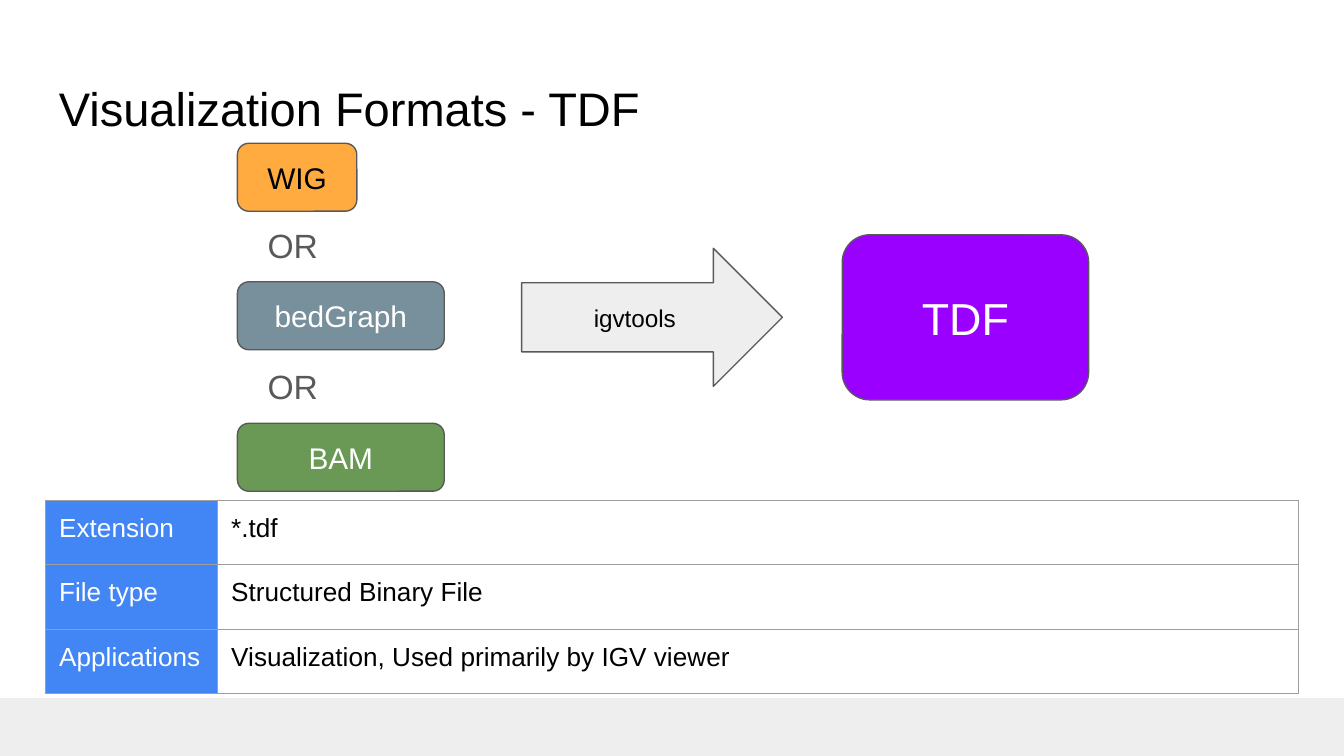
"""Build the slide on the TDF visualization format."""
import pptx
import pptx.util
import pptx.dml.color
import pptx.enum.shapes
import pptx.enum.text
import pptx.oxml
import pptx.oxml.ns

Pt = pptx.util.Pt
Kind = pptx.enum.shapes.MSO_SHAPE
Align = pptx.enum.text.PP_ALIGN
Anchor = pptx.enum.text.MSO_ANCHOR
INK = {
    "black": "000000", "white": "FFFFFF", "gray": "595959", "pale": "EEEEEE",
    "rule": "9E9E9E", "blue": "4285F4", "violet": "9900FF",
    "orange": "FFAB40", "slate": "78909C", "green": "6A9955",
}
PAD = Pt(7.2)


def tint(name):
    return pptx.dml.color.RGBColor.from_string(INK[name])


def write(frame, text, size, ink, align=Align.LEFT):
    frame.margin_left = frame.margin_right = PAD
    frame.margin_top = frame.margin_bottom = PAD
    frame.word_wrap = True
    para = frame.paragraphs[0]
    para.alignment = align
    run = para.add_run()
    run.text = text
    run.font.name = "Arial"
    run.font.size = Pt(size)
    run.font.color.rgb = tint(ink)


deck = pptx.Presentation()
deck.slide_width, deck.slide_height = Pt(720), Pt(405)
slide = deck.slides.add_slide(deck.slide_layouts[6])
shapes = slide.shapes

band = shapes.add_shape(Kind.RECTANGLE, Pt(0), Pt(374), Pt(720), Pt(31))
band.shadow.inherit = False
band.fill.solid()
band.fill.fore_color.rgb = tint("pale")
band.line.fill.background()

labels = [
    ("Visualization Formats - TDF", 24.5, 35.4, 671, 45, 25.2, "black"),
    ("OR", 136.3, 113.2, 46, 36, 18, "gray"),
    ("OR", 136.3, 188.8, 46, 36, 18, "gray"),
]
for text, left, top, width, height, size, ink in labels:
    box = shapes.add_textbox(Pt(left), Pt(top), Pt(width), Pt(height))
    write(box.text_frame, text, size, ink)

rows = [
    ("Extension", "*.tdf"),
    ("File type", "Structured Binary File"),
    ("Applications", "Visualization, Used primarily by IGV viewer"),
]
frame = shapes.add_table(len(rows), 2, Pt(24.5), Pt(268), Pt(671), Pt(103.8))
table = frame.table
table.first_row = table.horz_banding = False
for col, width in zip(table.columns, (92.2, 578.8)):
    col.width = Pt(width)
for r, row in enumerate(rows):
    table.rows[r].height = Pt(34.6)
    for c, text in enumerate(row):
        cell = table.cell(r, c)
        cell.margin_left = cell.margin_right = PAD
        cell.margin_top = cell.margin_bottom = PAD
        write(cell.text_frame, text, 14, "black" if c else "white")
        props = cell._tc.get_or_add_tcPr()
        for side in ("lnL", "lnR", "lnT", "lnB"):
            props.append(pptx.oxml.parse_xml(
                f'<a:{side} {pptx.oxml.ns.nsdecls("a")} w="{Pt(0.75)}"><a:solidFill>'
                f'<a:srgbClr val="{INK["rule"]}"/></a:solidFill></a:{side}>'))
        if c:
            cell.fill.background()
        else:
            cell.fill.solid()
            cell.fill.fore_color.rgb = tint("blue")

Round = Kind.ROUNDED_RECTANGLE
blocks = [
    ("WIG", Round, 127.2, 76.8, 64, 36.4, 16, "orange", "black"),
    ("bedGraph", Round, 127.2, 151, 110.8, 36.4, 16, "slate", "white"),
    ("BAM", Round, 127.2, 226.8, 110.8, 36.4, 16, "green", "white"),
    ("igvtools", Kind.RIGHT_ARROW, 279.5, 133, 139.7, 74, 13, "pale", "black"),
    ("TDF", Round, 451.2, 125.8, 132, 88.4, 24, "violet", "white"),
]
for text, kind, left, top, width, height, size, fill, ink in blocks:
    block = shapes.add_shape(kind, Pt(left), Pt(top), Pt(width), Pt(height))
    block.shadow.inherit = False
    block.fill.solid()
    block.fill.fore_color.rgb = tint(fill)
    block.line.color.rgb = tint("gray")
    block.line.width = Pt(0.75)
    block.text_frame.vertical_anchor = Anchor.MIDDLE
    write(block.text_frame, text, size, ink, Align.CENTER)

deck.save("out.pptx")
